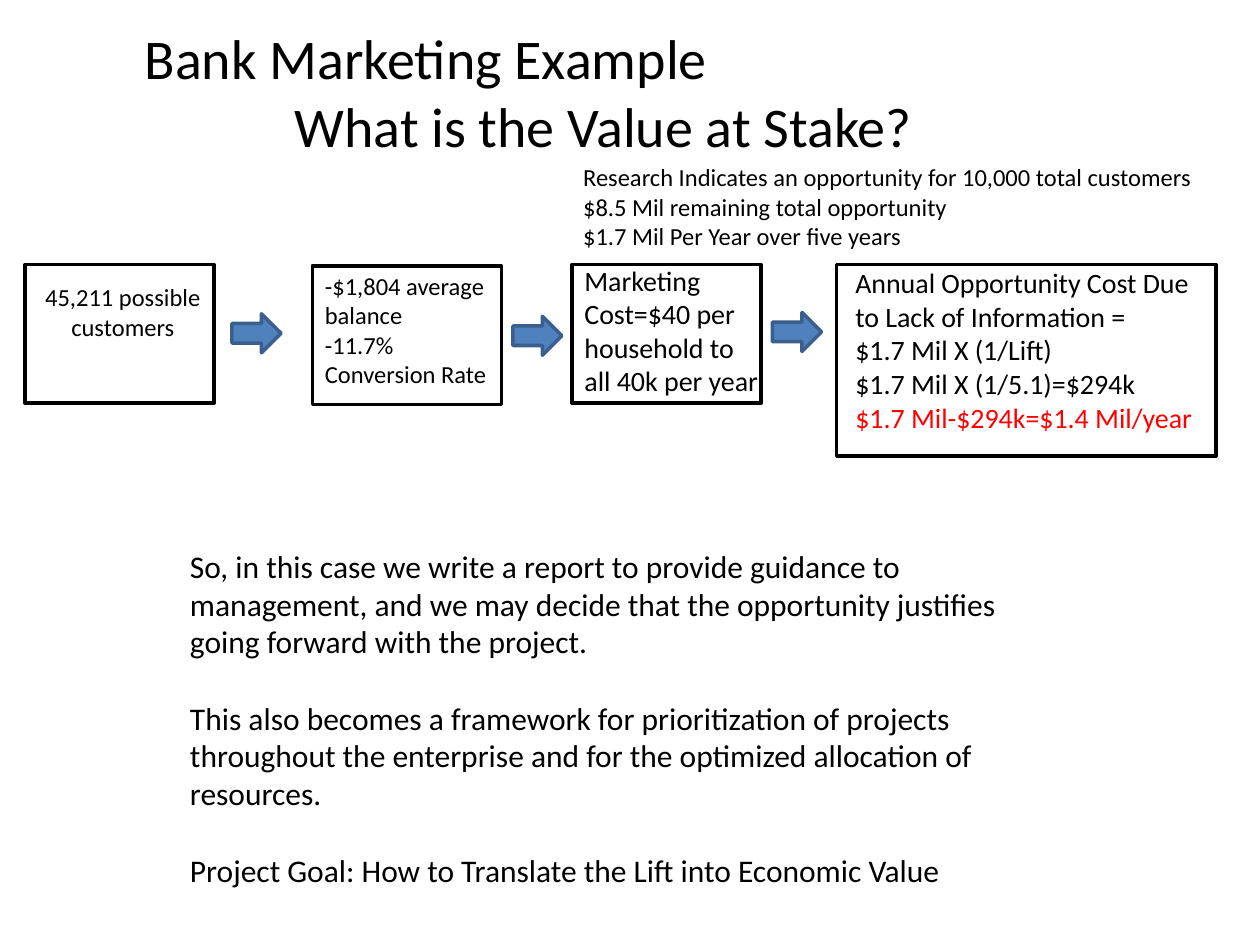
from pptx import Presentation
from pptx.dml.color import RGBColor
from pptx.enum.shapes import MSO_SHAPE as Preset
from pptx.enum.text import PP_ALIGN as Align
from pptx.util import Inches, Pt

BLACK = RGBColor(0x00, 0x00, 0x00)
WHITE = RGBColor(0xFF, 0xFF, 0xFF)
RED = RGBColor(0xFF, 0x00, 0x00)
BLUE = RGBColor(0x4F, 0x81, 0xBD)
DARK_BLUE = RGBColor(0x3A, 0x5F, 0x8C)

presentation = Presentation()
presentation.slide_width = Inches(10)
presentation.slide_height = Inches(7.5)
slide = presentation.slides.add_slide(presentation.slide_layouts[6])


def add_filled_shape(preset, bounds, fill, line):
    shape = slide.shapes.add_shape(preset, *map(Inches, bounds))
    shape.shadow.inherit = False
    shape.fill.solid()
    shape.fill.fore_color.rgb = fill
    shape.line.color.rgb = line
    shape.line.width = Pt(2)


def add_text(bounds, size, lines, align=Align.LEFT, gap=0):
    frame = slide.shapes.add_textbox(*map(Inches, bounds)).text_frame
    frame.word_wrap = True
    for index, line in enumerate(lines):
        paragraph = frame.paragraphs[0] if index == 0 else frame.add_paragraph()
        paragraph.text = line
        paragraph.alignment = align
        if index and gap:
            paragraph.space_before = Pt(gap)
        paragraph.font.color.rgb = BLACK
        for name, value in {"name": "Calibri", "size": Pt(size)}.items():
            setattr(paragraph.font, name, value)
    return frame


step_boxes = [
    (0.2, 2.1, 1.5, 1.1),
    (2.48, 2.11, 1.5, 1.1),
    (4.54, 2.1, 1.5, 1.1),
    (6.64, 2.1, 3.01, 1.52),
]
for bounds in step_boxes:
    add_filled_shape(Preset.RECTANGLE, bounds, WHITE, BLACK)

for left, top in [(1.84, 2.49), (4.07, 2.51), (6.13, 2.48)]:
    add_filled_shape(Preset.RIGHT_ARROW, (left, top, 0.39, 0.31), BLUE, DARK_BLUE)

title = add_text((1.05, 0.14, 7.48, 1.18), 32, [
    "Bank Marketing Example",
    "What is the Value at Stake?",
])
title.paragraphs[1].alignment = Align.CENTER

add_text((0.18, 2.19, 1.59, 0.57), 14, ["45,211 possible customers"], Align.CENTER)
add_text((2.48, 2.1, 1.62, 1.04), 14, [
    "-$1,804 average balance",
    "-11.7% Conversion Rate",
])
add_text((4.54, 2.04, 1.63, 1.18), 16, [
    "Marketing Cost=$40 per household to all 40k per year",
])
add_text((4.53, 1.24, 5.46, 1.04), 14, [
    "Research Indicates an opportunity for 10,000 total customers",
    "$8.5 Mil remaining total opportunity",
    "$1.7 Mil Per Year over five years",
])
opportunity_cost = add_text((6.69, 2.06, 2.96, 1.45), 16, [
    "Annual Opportunity Cost Due to Lack of Information =",
    "$1.7 Mil X (1/Lift)",
    "$1.7 Mil X (1/5.1)=$294k",
    "$1.7 Mil-$294k=$1.4 Mil/year",
])
opportunity_cost.paragraphs[-1].font.color.rgb = RED

add_text((1.41, 4.29, 6.86, 2.83), 18, [
    "So, in this case we write a report to provide guidance to management, "
    "and we may decide that the opportunity justifies going forward with the project.",
    "This also becomes a framework for prioritization of projects throughout "
    "the enterprise and for the optimized allocation of resources.",
    "Project Goal: How to Translate the Lift into Economic Value",
], gap=22)

presentation.save("out.pptx")
